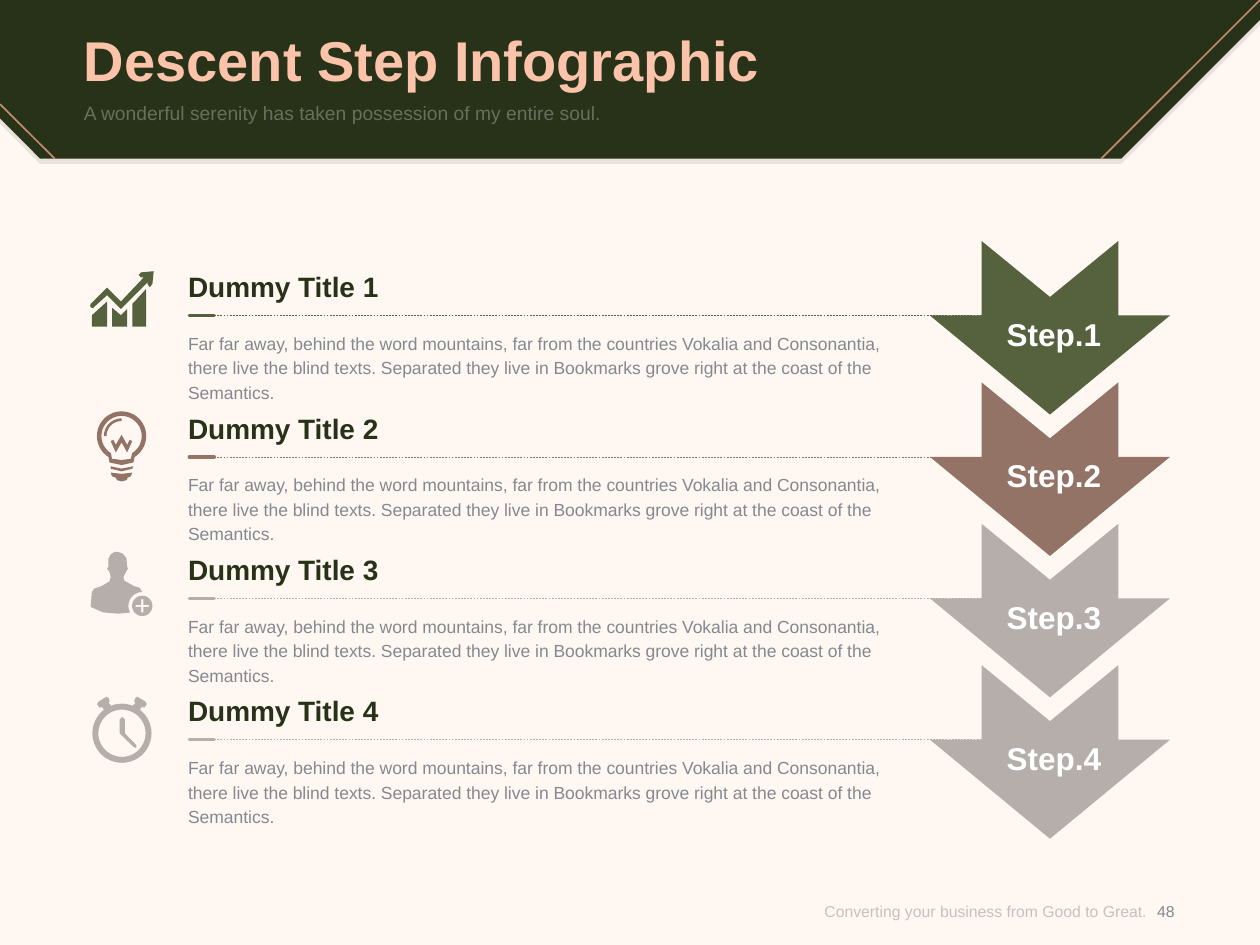
import math

from pptx import Presentation
from pptx.dml.color import RGBColor
from pptx.enum.dml import MSO_LINE
from pptx.enum.shapes import MSO_CONNECTOR
from pptx.enum.text import MSO_ANCHOR, PP_ALIGN
from pptx.oxml.ns import qn
from pptx.util import Pt
from lxml import etree

STRAIGHT = MSO_CONNECTOR.STRAIGHT
DASH = MSO_LINE.DASH
TOP, MIDDLE = MSO_ANCHOR.TOP, MSO_ANCHOR.MIDDLE
LEFT, CENTER, RIGHT = PP_ALIGN.LEFT, PP_ALIGN.CENTER, PP_ALIGN.RIGHT

DARK, GREEN, BROWN, STONE = "283218", "56613D", "927365", "B6AEAB"
PEACH, COPPER, GREY, WHITE, CREAM = "FBC4AA", "BF896E", "85898F", "FFFFFF", "FFF7F2"
ROW_TOP, ROW_PITCH = 137.7, 80.8
BLURB = ("Far far away, behind the word mountains, far from the countries Vokalia and "
         "Consonantia, there live the blind texts. Separated they live in Bookmarks grove "
         "right at the coast of the Semantics.")


def paint(fill, color, opacity=100):
    """Make a fill solid in a hex colour, optionally see-through."""
    fill.solid()
    fill.fore_color.rgb = RGBColor.from_string(color)
    if opacity < 100:
        for srgb in fill._xPr.iter(qn("a:srgbClr")):
            etree.SubElement(srgb, qn("a:alpha"), val=str(opacity * 1000))


def write(shape, box, text, size, color, bold=False, align=LEFT, anchor=TOP,
          opacity=100, spacing=None):
    """Place a text shape in its box and format its single paragraph."""
    shape.left, shape.top, shape.width, shape.height = (Pt(v) for v in box)
    frame = shape.text_frame
    frame.word_wrap = True
    frame.vertical_anchor = anchor
    frame.margin_left = frame.margin_right = frame.margin_top = frame.margin_bottom = 0
    frame.text = text
    paragraph = frame.paragraphs[0]
    paragraph.alignment = align
    if spacing:
        paragraph.line_spacing = Pt(spacing)
    font = paragraph.runs[0].font
    font.name, font.size, font.bold = "Arial", Pt(size), bold
    paint(font.fill, color, opacity)


def label(slide, box, text, size, color, **style):
    """Add a text box."""
    write(slide.shapes.add_textbox(0, 0, 0, 0), box, text, size, color, **style)


def rule(slide, start, end, color, width, dash=None, cap="flat"):
    """Add a straight line between two points."""
    line = slide.shapes.add_connector(STRAIGHT, *(Pt(v) for v in (*start, *end)))
    line.line.width = Pt(width)
    paint(line.line.fill, color)
    if dash:
        line.line.dash_style = dash
    properties = line._element.spPr
    properties.get_or_add_ln().set("cap", cap)
    etree.SubElement(properties, qn("a:effectLst"))


def outline(slide, left, top, contours, color, opacity=100):
    """Add one filled freeform made of closed contours relative to a corner."""
    placed = [[(Pt(left + x), Pt(top + y)) for x, y in contour] for contour in contours]
    builder = slide.shapes.build_freeform(*placed[0][0])
    builder.add_line_segments(placed[0][1:], close=True)
    for contour in placed[1:]:
        builder.move_to(*contour[0])
        builder.add_line_segments(contour[1:], close=True)
    shape = builder.convert_to_shape()
    shape.shadow.inherit = False
    shape.line.fill.background()
    paint(shape.fill, color, opacity)


def arc(x, y, radius, start=0, end=360):
    """Return points along an arc, with angles in degrees clockwise from the right."""
    steps = max(8, round(abs(end - start) / 8))
    angles = [math.radians(start + (end - start) * i / steps) for i in range(steps + 1)]
    return [(x + radius * math.cos(a), y + radius * math.sin(a)) for a in angles]


def growth_icon():
    """Return the contours of bars under a rising arrow."""
    return [
        [(1.4, 31.7), (10.1, 31.7), (10.1, 17.3), (1.4, 25.2)],
        [(13, 20.9), (13, 31.7), (21.6, 31.7), (21.6, 21.6), (18, 25.2)],
        [(24.5, 18.7), (24.5, 31.7), (32.4, 31.7), (32.4, 10.1), (25.9, 17.3)],
        [(29.5, 0.7), (28.1, 2.2), (29.5, 3.6), (31, 3.6), (18, 17.3), (10.1, 9.4),
         (0.7, 18.7), (0.4, 20), (1.4, 21), (2.2, 20.9), (10.1, 13.7), (18, 21.6),
         (33.8, 5.8), (33.1, 7.2), (34.5, 9.2), (36, 7.2), (36.7, 0)],
    ]


def bulb_icon():
    """Return the contours of a light bulb."""
    x, y = 14.1, 14.4
    return [
        arc(x, y, 14.1, 58, -238) + [(7.2, 29.5), (14.1, 31), (20.9, 29.5)],
        arc(x, y, 11.5, 58, -238) + [(8.6, 27.4), (14.1, 28.1), (19.4, 27.4)],
        arc(x, y, 10.1, 180, 270) + arc(x, y, 8.6, 270, 180),
        [(17.3, 19.4), (14.1, 13.7), (10.8, 19.4), (9.4, 16.6), (7.9, 17.3),
         (10.8, 23.8), (14.1, 18), (17.3, 23.8), (20.2, 17.3), (18.7, 16.6)],
        [(7.9, 31.7), (7.9, 33.1), (14.1, 34.6), (20.2, 33.1), (20.9, 31.7), (14.1, 33)],
        [(7.9, 35.3), (8.6, 37.4), (10.8, 38.2), (11.5, 39.6), (14.1, 40.3), (17, 39.6),
         (17.6, 38.2), (19.4, 37.4), (20.2, 35.3), (14.1, 36)],
    ]


def person_icon():
    """Return the contours of a person with a plus badge."""
    x, y, long, thin = 29.5, 30.8, 3.8, 0.6
    plus = [(thin, long), (thin, thin), (long, thin), (long, -thin), (thin, -thin),
            (thin, -long), (-thin, -long), (-thin, -thin), (-long, -thin),
            (-long, thin), (-thin, thin), (-thin, long)]
    return [
        [(28.1, 20.5), (24.5, 19.4), (20.9, 17.3), (19.4, 16.6), (18.7, 14.4),
         (20.2, 11.5), (21.4, 9.4), (20.9, 8.6), (20.5, 3.6), (18.4, 1), (15.8, 0),
         (13.7, 0), (11.4, 1.4), (10.1, 4), (10.1, 8.6), (9.4, 9.4), (10.8, 11.5),
         (11.5, 14.4), (10.8, 16.8), (6.5, 19.4), (2, 21), (0.7, 23), (0, 31.4),
         (7, 34.5), (15.8, 35.3)] + arc(x, y, 7.9, 151, 270),
        arc(x, y, 5.8),
        [(x + dx, y + dy) for dx, dy in plus],
    ]


def clock_icon():
    """Return the contours of an alarm clock."""
    x, y = 17.1, 20.9
    bell = [(8.3, 0), (3.6, 2.9), (2.9, 4.3), (4.3, 6.3), (5.8, 5.8), (6.8, 7.5),
            (10.8, 5), (9.4, 3.6), (10.1, 2.5), (9.4, 0.7)]
    return [
        arc(x, y, 16.9),
        arc(x, y, 13.5),
        [(18.7, 20.9), (18.7, 13), (17.3, 11.5), (15.8, 13), (15.8, 20.9), (17.1, 22.3),
         (23.8, 28.8), (25.2, 29.3), (25.4, 27.7)],
        bell,
        [(2 * x - bx, by) for bx, by in bell],
    ]


def header(slide, width, height):
    """Draw the header band and corner lines, with the title and subtitle in front."""
    band = [(0, 0), (width, 0), (width, 11.5), (width - 79.2, height), (23, height), (0, 67.7)]
    outline(slide, 0, 3, [band], DARK, 10)
    outline(slide, 0, 0, [band], DARK)
    rule(slide, (width, 0), (width - height, height), COPPER, 1)
    rule(slide, (0, 59.5), (31.3, height), COPPER, 1)
    title = slide.shapes.title
    title._element.getparent().append(title._element)
    write(title, (48, 10.2, 623.5, 47), "Descent Step Infographic", 32, PEACH,
          bold=True, anchor=MIDDLE)
    label(slide, (48, 57.9, 623.5, 28), "A wonderful serenity has taken possession of my "
          "entire soul.", 11, WHITE, opacity=30)


def step(slide, top, number, color, icon, icon_left, icon_drop):
    """Draw one step: icon, title, rule, text and arrow."""
    rule_y, text_left, text_width = top + 42.6, 107.5, 403
    outline(slide, icon_left, top + icon_drop, icon, color)
    label(slide, (text_left, top + 16.5, text_width, 19.4), f"Dummy Title {number}", 16,
          DARK, bold=True)
    rule(slide, (122.4, rule_y), (108.2, rule_y), color, 2, cap="rnd")
    rule(slide, (122.4, rule_y), (561, rule_y), color, 0.25, DASH)
    label(slide, (text_left, top + 50.5, text_width, 41), BLURB, 10, GREY, spacing=14)
    arrow = [(137.2, 42.6), (68.6, 99.2), (0, 42.6), (29.5, 42.6), (29.5, 0),
             (68.6, 32), (107.7, 0), (107.7, 42.6)]
    outline(slide, 531.4, top, [arrow], color)
    label(slide, (532.8, top + 42.2, 139, 21.6), f"Step.{number}", 18, WHITE, bold=True,
          align=CENTER)


def footer(slide, top, height):
    """Write the closing line and the page number."""
    label(slide, (434.9, top, 220.3, height), "Converting your business from Good to Great.",
          9, "8C8C8C", align=RIGHT, anchor=MIDDLE, opacity=50)
    label(slide, (649.4, top, 33.8, height), "48", 9, GREY, align=CENTER, anchor=MIDDLE)


def main():
    """Build the slide and save it."""
    deck = Presentation()
    deck.slide_width, deck.slide_height = Pt(720), Pt(540)
    slide = deck.slides.add_slide(deck.slide_layouts[5])
    paint(slide.background.fill, CREAM)
    header(slide, 720, 90.7)
    steps = [(GREEN, growth_icon(), 51.1, 17.3), (BROWN, bulb_icon(), 55.4, 16.3),
             (STONE, person_icon(), 51.8, 16.1), (STONE, clock_icon(), 52.6, 18)]
    for index, details in enumerate(steps):
        step(slide, ROW_TOP + index * ROW_PITCH, index + 1, *details)
    footer(slide, 501.1, 38.9)
    deck.save("out.pptx")


if __name__ == "__main__":
    main()
